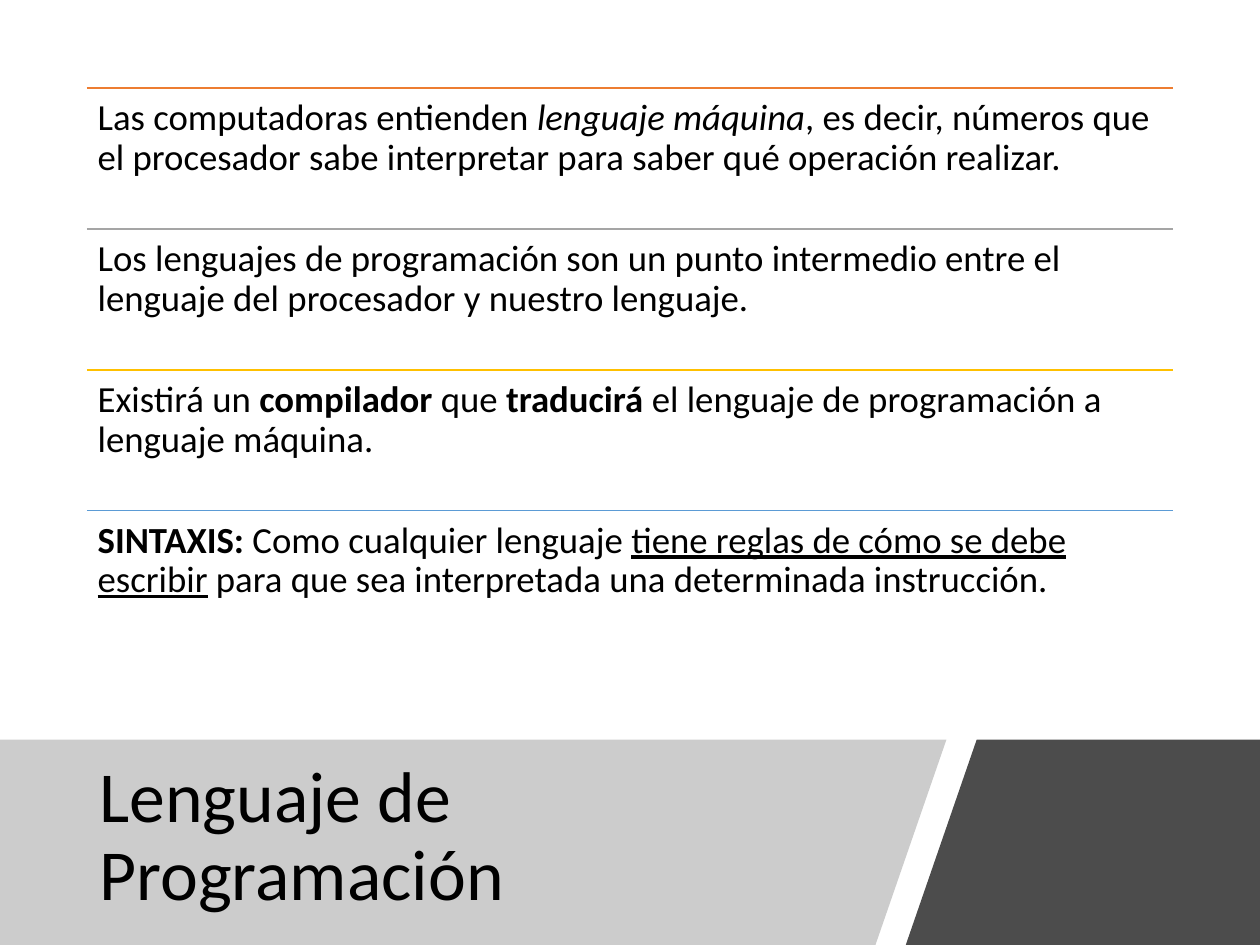
from lxml import etree
from pptx import Presentation
from pptx import util as u
from pptx.dml.color import RGBColor
from pptx.enum import shapes, text
from pptx.oxml import ns

COLORS = {
    "text": "000000",
    "title_band": "808080",
    "corner_band": "000000",
    "rules": ["ED7D31", "A5A5A5", "FFC000", "5B9BD5"],
}
FONT = "Calibri"
STATEMENTS = [
    [("Las computadoras entienden ", {}),
     ("lenguaje máquina", {"italic": True}),
     (", es decir, números que el procesador sabe interpretar para saber "
      "qué operación realizar.", {})],
    [("Los lenguajes de programación son un punto intermedio entre el "
      "lenguaje del procesador y nuestro lenguaje.", {})],
    [("Existirá un ", {}),
     ("compilador ", {"bold": True}),
     ("que ", {}),
     ("traducirá ", {"bold": True}),
     ("el lenguaje de programación a lenguaje máquina.", {})],
    [("SINTAXIS:", {"bold": True}),
     (" Como cualquier lenguaje ", {}),
     ("tiene reglas de cómo se debe escribir", {"underline": True}),
     (" para que sea interpretada una determinada instrucción.", {})],
]


def add_text(paragraph, content, size, bold=False, italic=False, underline=False):
    """Append one formatted run to a paragraph."""
    paragraph.alignment = text.PP_ALIGN.LEFT
    paragraph.line_spacing = 0.9
    run = paragraph.add_run()
    run.text = content
    font = run.font
    font.name, font.size = FONT, u.Pt(size)
    font.bold, font.italic, font.underline = bold, italic, underline
    font.color.rgb = RGBColor.from_string(COLORS["text"])


def add_band(slide, left, top, points, color, opacity):
    """Draw a translucent polygon from points relative to its top left corner."""
    corners = [(u.Cm(left + x), u.Cm(top + y)) for x, y in points]
    builder = slide.shapes.build_freeform(*corners[0], scale=1.0)
    builder.add_line_segments(corners[1:], close=True)
    shape = builder.convert_to_shape()
    shape.shadow.inherit = False
    shape.line.fill.background()
    shape.fill.solid()
    shape.fill.fore_color.rgb = RGBColor.from_string(color)
    fill_color = shape.element.spPr.find(".//" + ns.qn("a:srgbClr"))
    etree.SubElement(fill_color, ns.qn("a:alpha"), val=str(opacity * 1000))
    return shape


def add_footer(slide, top, width, height):
    """Place the title on its slanted band, with the dark band at the right."""
    title_band = add_band(slide, 0, top,
                          [(0, 0), (19.08, 0), (17.65, height), (0, height)],
                          COLORS["title_band"], 40)
    left = 18.26
    add_band(slide, left, top,
             [(1.43, 0), (width - left, 0), (width - left, height), (0, height)],
             COLORS["corner_band"], 70)
    title = slide.shapes.title
    title.left, title.top = u.Cm(1.75), u.Cm(top + 0.46)
    title.width, title.height = u.Cm(16.08), u.Cm(3.05)
    frame = title.text_frame
    frame.word_wrap = True
    frame.auto_size = text.MSO_AUTO_SIZE.NONE
    frame.vertical_anchor = text.MSO_ANCHOR.MIDDLE
    frame.margin_right = u.Cm(0.6)
    add_text(frame.paragraphs[0], "Lenguaje de Programación", 41)
    title_band.element.addnext(title.element)


def add_statement(group, left, top, width, height, runs, color):
    """Place one statement under its coloured rule."""
    rule = group.shapes.add_connector(shapes.MSO_CONNECTOR.STRAIGHT, u.Cm(left),
                                      u.Cm(top), u.Cm(left + width), u.Cm(top))
    rule.line.color.rgb = RGBColor.from_string(color)
    rule.line.width = u.Pt(1)
    etree.SubElement(rule.element.spPr, ns.qn("a:effectLst"))
    box = group.shapes.add_textbox(u.Cm(left), u.Cm(top), u.Cm(width), u.Cm(height))
    frame = box.text_frame
    frame.word_wrap = True
    frame.margin_left = frame.margin_right = u.Cm(0.22)
    frame.margin_top = frame.margin_bottom = u.Cm(0.22)
    for content, style in runs:
        add_text(frame.paragraphs[0], content, 21, **style)


def add_statements(slide, left, top, width, height):
    """Stack the statements in equal rows."""
    group = slide.shapes.add_group_shape()
    row_height = height / len(STATEMENTS)
    for index, (runs, color) in enumerate(zip(STATEMENTS, COLORS["rules"])):
        add_statement(group, left, top + index * row_height, width, row_height,
                      runs, color)


def main():
    """Build and save the presentation."""
    presentation = Presentation()
    presentation.slide_width, presentation.slide_height = u.Cm(25.4), u.Cm(19.05)
    slide = presentation.slides.add_slide(presentation.slide_layouts[5])
    add_footer(slide, 14.91, 25.4, 4.14)
    add_statements(slide, 1.75, 1.78, 21.9, 11.35)
    presentation.save("out.pptx")


if __name__ == "__main__":
    main()
